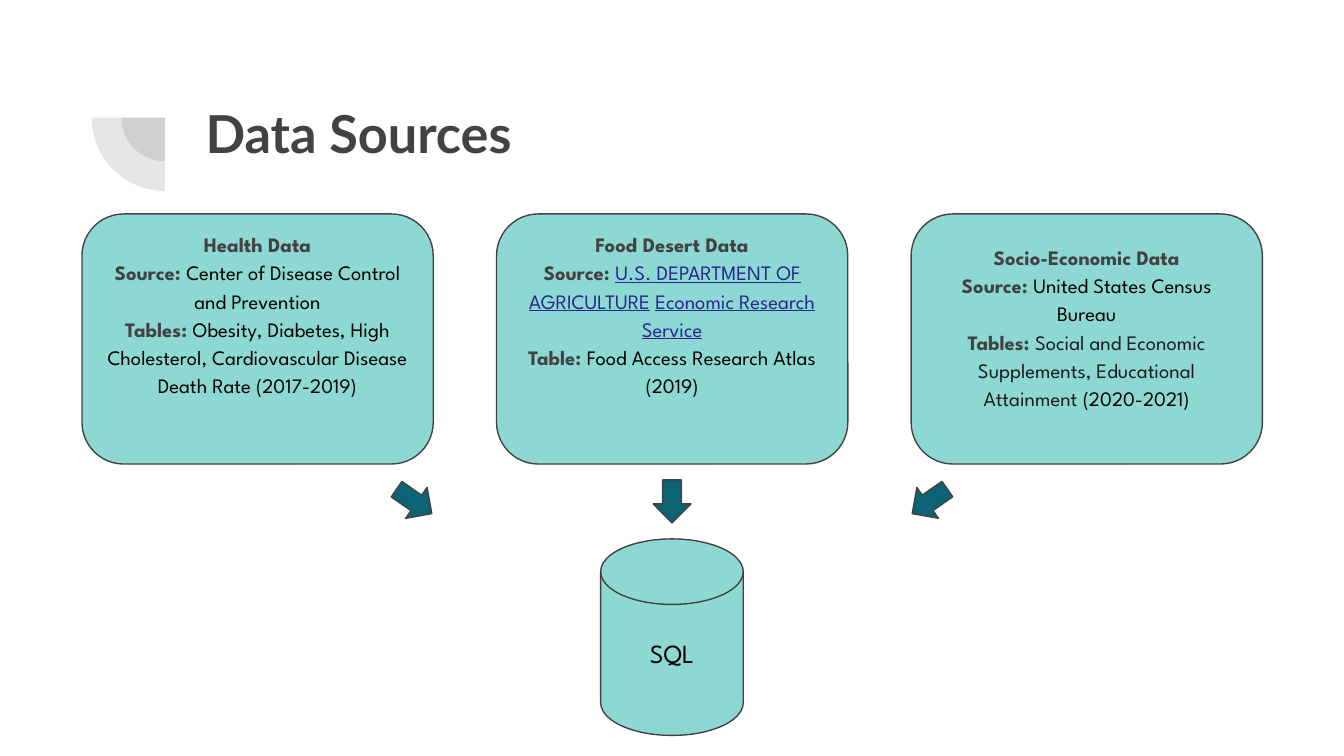
from pptx import Presentation
from pptx.dml.color import RGBColor
from pptx.enum.shapes import MSO_SHAPE
from pptx.enum.text import MSO_ANCHOR, PP_ALIGN
from pptx.oxml import parse_xml
from pptx.oxml.ns import nsdecls
from pptx.util import Pt

GREY, BLACK, SOFT, LINK = "424242", "000000", "1B1B1B", "27278B"
MINT, TEAL = "8DD8D3", "0B6374"
BODY = "League Spartan"


def color(code):
    return RGBColor.from_string(code)


def write(shape, paras, size=11, font=BODY, align=PP_ALIGN.CENTER,
          anchor=MSO_ANCHOR.MIDDLE, space=1.0, base=7.2):
    """Each paragraph is a list of (text, colour, style), style from 'b' and 'u'."""
    frame = shape.text_frame
    frame.word_wrap = True
    frame.vertical_anchor = anchor
    frame.margin_left = frame.margin_right = frame.margin_top = Pt(7.2)
    frame.margin_bottom = Pt(base)
    for i, runs in enumerate(paras):
        para = frame.add_paragraph() if i else frame.paragraphs[0]
        para.alignment = align
        para.line_spacing = space
        for text, tint, style in runs:
            run = para.add_run()
            run.text = text
            run.font.name = font
            run.font.size = Pt(size)
            run.font.color.rgb = color(tint)
            run.font.bold = "b" in style
            run.font.underline = "u" in style


def draw(kind, left, top, width, height, fill, line=GREY):
    shape = slide.shapes.add_shape(kind, Pt(left), Pt(top), Pt(width), Pt(height))
    shape.shadow.inherit = False
    shape.fill.solid()
    shape.fill.fore_color.rgb = color(fill)
    if line:
        shape.line.color.rgb = color(line)
        shape.line.width = Pt(0.75)
    else:
        shape.line.fill.background()
    return shape


deck = Presentation()
deck.slide_width, deck.slide_height = Pt(720), Pt(405)
slide = deck.slides.add_slide(deck.slide_layouts[6])

# Quarter discs beside the title, sharing one centre
for rad in (23.4, 39.3):
    disc = draw(MSO_SHAPE.PIE, 88.4 - rad, 63 - rad, 2 * rad, 2 * rad, GREY, None)
    disc.rotation = 270
    disc.adjustments[0], disc.adjustments[1] = 108, 162
    tint = disc.fill._xPr.find(".//{*}srgbClr")
    tint.append(parse_xml(f'<a:alpha {nsdecls("a")} val="13000"/>'))

# Title
title = slide.shapes.add_textbox(Pt(103), Pt(46.8), Pt(553.7), Pt(78.5))
write(title, [[("Data Sources", GREY, "b")]], size=28, font="Lato",
      align=PP_ALIGN.LEFT, anchor=MSO_ANCHOR.TOP)

# Source cards: paragraphs and bottom inset
cards = [
    ([[("Health Data", GREY, "b")],
      [("Source: ", GREY, "b"),
       ("Center of Disease Control and Prevention", BLACK, "")],
      [("Tables: ", GREY, "b"),
       ("Obesity, Diabetes, High Cholesterol, Cardiovascular "
        "Disease Death Rate (2017-2019)", BLACK, "")]], 34.8),
    ([[("Food Desert Data", GREY, "b")],
      [("Source: ", GREY, "b"),
       ("U.S. DEPARTMENT OF AGRICULTURE", LINK, "u"),
       (" ", GREY, ""),
       ("Economic Research Service", LINK, "u")],
      [("Table: ", GREY, "b"),
       ("Food Access Research Atlas (2019)", BLACK, "")]], 34.8),
    ([[("Socio-Economic Data", GREY, "b")],
      [("Source: ", GREY, "b"), ("United States Census Bureau", BLACK, "")],
      [("Tables: ", GREY, "b"),
       ("Social and Economic Supplements, Educational Attainment ", SOFT, ""),
       ("(2020-2021)", BLACK, "")]], 21),
]
for i, (paras, base) in enumerate(cards):
    card = draw(MSO_SHAPE.ROUNDED_RECTANGLE, 43.9 + 222.1 * i, 114.6, 188.2, 134, MINT)
    card.adjustments[0] = 0.167
    write(card, paras, space=1.15, base=base)

# Arrows towards the database
for i, turn in enumerate((304.7, 0, 55)):
    arrow = draw(MSO_SHAPE.DOWN_ARROW, 211.8 + 138.1 * i, 257.1, 20.2, 23, TEAL)
    arrow.rotation = turn

# Database
disk = draw(MSO_SHAPE.FLOWCHART_MAGNETIC_DISK, 321.8, 288.7, 76.4, 105.3, MINT)
write(disk, [[("SQL", BLACK, "")]], size=14)

deck.save("out.pptx")
